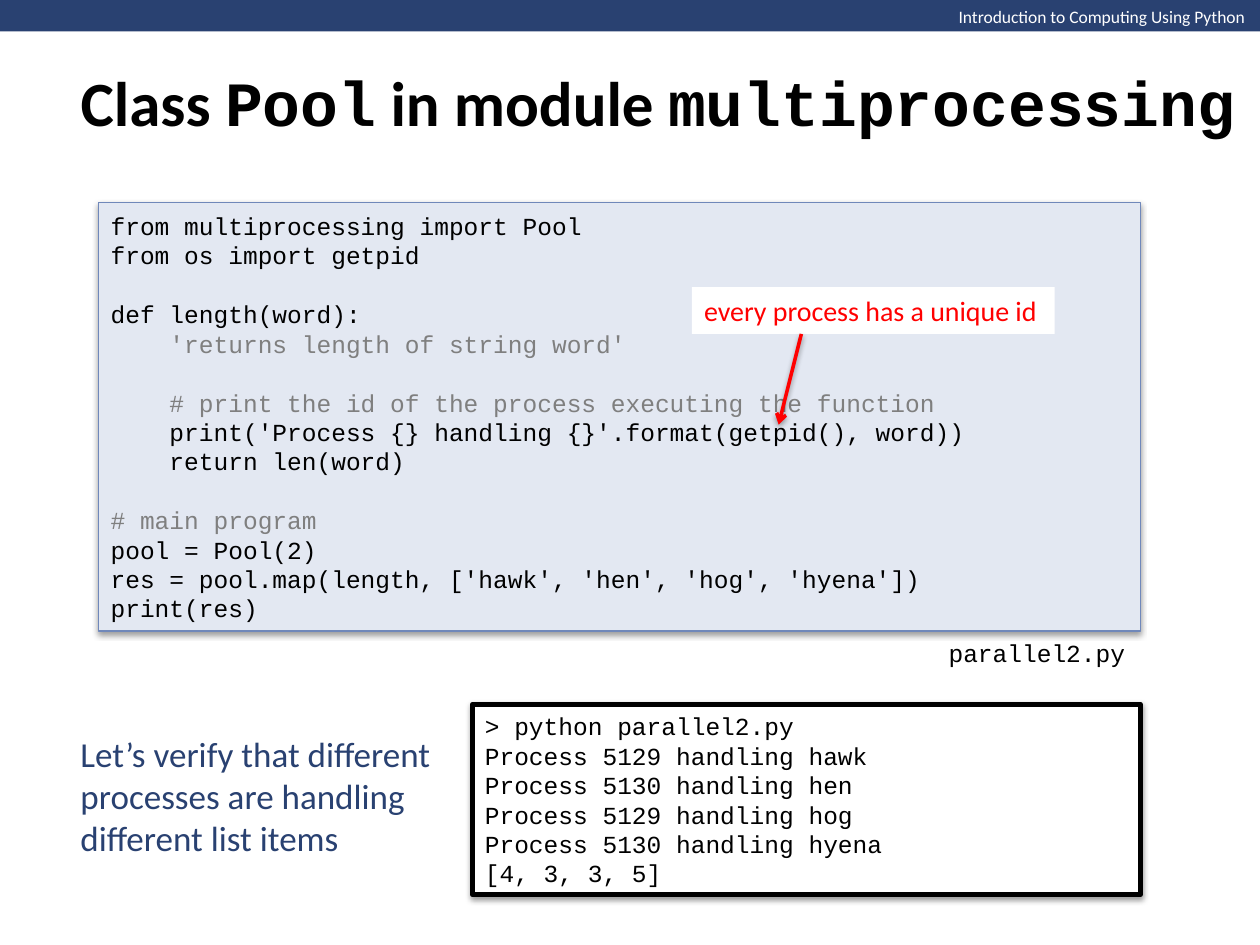
from lxml.etree import SubElement
from pptx import Presentation
from pptx.dml.color import RGBColor
from pptx.enum.shapes import MSO_CONNECTOR, MSO_SHAPE
from pptx.enum.text import MSO_ANCHOR, MSO_AUTO_SIZE, PP_ALIGN
from pptx.oxml import parse_xml
from pptx.oxml.ns import nsdecls, qn
from pptx.util import Inches, Pt

SANS, MONO = "Calibri", "Courier New"
NAVY, BLACK, WHITE, RED = "294171", "000000", "FFFFFF", "FF0000"
GRAY = "7F7F7F"
LINE = 16.8  # height of one code line in points

CODE = """from multiprocessing import Pool
from os import getpid

def length(word):
    'returns length of string word'

    # print the id of the process executing the function
    print('Process {} handling {}'.format(getpid(), word))
    return len(word)

# main program
pool = Pool(2)
res = pool.map(length, ['hawk', 'hen', 'hog', 'hyena'])
print(res)"""

SHELL = """> python parallel2.py
Process 5129 handling hawk
Process 5130 handling hen
Process 5129 handling hog
Process 5130 handling hyena
[4, 3, 3, 5]"""


def color(value):
    return RGBColor.from_string(value)


def add_run(para, text, size=14, font=SANS, fill=BLACK, bold=False):
    run = para.add_run()
    run.text = text
    run.font.size = Pt(size)
    run.font.name = font
    run.font.bold = bold
    run.font.color.rgb = color(fill)


def add_shadow(shape):
    for old in shape._element.spPr.findall(qn("a:effectLst")):
        shape._element.spPr.remove(old)
    shape._element.spPr.append(parse_xml(
        f'<a:effectLst {nsdecls("a")}><a:outerShdw blurRad="40000" '
        'dist="20000" dir="5400000" rotWithShape="0"><a:srgbClr val="000000">'
        '<a:alpha val="38000"/></a:srgbClr></a:outerShdw></a:effectLst>'))


class Page:
    def __init__(self, deck):
        self.slide = deck.slides.add_slide(deck.slide_layouts[5])
        self.shapes = self.slide.shapes

    def frame(self, shape, anchor=MSO_ANCHOR.MIDDLE):
        frame = shape.text_frame
        frame.word_wrap = True
        frame.auto_size = MSO_AUTO_SIZE.NONE
        frame.vertical_anchor = anchor
        frame.paragraphs[0].alignment = PP_ALIGN.LEFT
        return frame

    def title(self, box, parts):
        shape = self.shapes.title
        shape.left, shape.top, shape.width, shape.height = map(Inches, box)
        para = self.frame(shape).paragraphs[0]
        for text, font in parts:
            add_run(para, text, size=36, font=font, bold=True)

    def rect(self, box, fill, line=None, width=1, shadow=False):
        shape = self.shapes.add_shape(MSO_SHAPE.RECTANGLE, *map(Inches, box))
        shape.shadow.inherit = False
        shape.fill.solid()
        shape.fill.fore_color.rgb = color(fill)
        if line:
            shape.line.color.rgb = color(line)
            shape.line.width = Pt(width)
        else:
            shape.line.fill.background()
        if shadow:
            add_shadow(shape)
        return shape

    def text(self, box, text, anchor=MSO_ANCHOR.MIDDLE, **style):
        shape = self.shapes.add_textbox(*map(Inches, box))
        add_run(self.frame(shape, anchor).paragraphs[0], text, **style)

    def label(self, box, text, back, **style):
        frame = self.frame(self.rect(box, back))
        add_run(frame.paragraphs[0], text, **style)

    def code(self, box, text, back, line, width):
        frame = self.frame(self.rect(box, back, line, width, shadow=True))
        para, gap = frame.paragraphs[0], 0
        for row in text.splitlines():
            if not row:
                gap += LINE
                continue
            if para.runs:
                para = frame.add_paragraph()
                para.alignment = PP_ALIGN.LEFT
            if gap:
                para.space_before = Pt(gap)
            gap = 0
            note = row.lstrip().startswith(("#", "'"))
            add_run(para, row, font=MONO, fill=GRAY if note else BLACK)

    def arrow(self, start, end, fill, width):
        line = self.shapes.add_connector(
            MSO_CONNECTOR.STRAIGHT, *map(Inches, start + end))
        line.line.color.rgb = color(fill)
        line.line.width = Pt(width)
        edge = line._element.spPr.find(qn("a:ln"))
        SubElement(edge, qn("a:tailEnd"), type="arrow")
        add_shadow(line)


def main():
    deck = Presentation()
    deck.slide_width, deck.slide_height = Inches(10), Inches(7.5)
    page = Page(deck)

    # Header band and title
    page.rect((0, 0, 10.01, 0.25), NAVY)
    page.text((7.51, 0, 2.5, 0.27), "Introduction to Computing Using Python",
              MSO_ANCHOR.TOP, size=10, fill=WHITE)
    page.title((0.54, 0, 9.46, 1.61), [
        ("Class ", SANS), ("Pool", MONO),
        (" in module ", SANS), ("multiprocessing", MONO)])

    # Program and its file name
    page.code((0.78, 1.61, 8.27, 3.4), CODE, "E3E8F2", "7088BA", 0.75)
    page.text((7.43, 5.01, 1.62, 0.34), "parallel2.py", font=MONO)

    # Remark and shell output
    page.text((0.54, 5.76, 3.01, 1.11),
              "Let’s verify that different processes are handling "
              "different list items", size=20, fill=NAVY)
    page.code((3.75, 5.59, 5.3, 1.51), SHELL, WHITE, BLACK, 3)

    # Callout on the process id
    page.label((5.49, 2.28, 2.88, 0.37), "every process has a unique id",
               WHITE, size=16, fill=RED)
    page.arrow((6.36, 2.65), (6.18, 3.37), RED, 2)

    deck.save("out.pptx")


if __name__ == "__main__":
    main()
